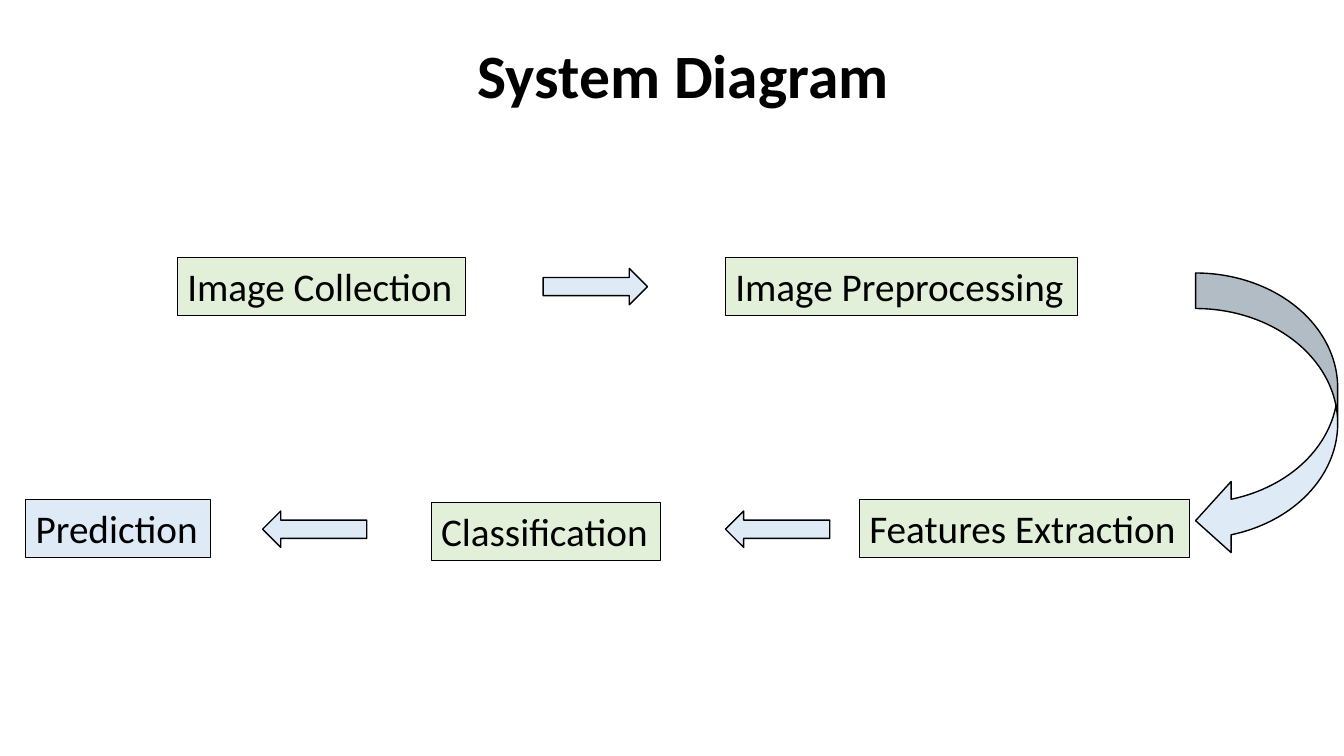
from pptx import Presentation
from pptx.dml.color import RGBColor
from pptx.enum.shapes import MSO_SHAPE
from pptx.enum.text import MSO_ANCHOR, MSO_AUTO_SIZE, PP_ALIGN
from pptx.util import Pt

RECTANGLE = MSO_SHAPE.RECTANGLE
RIGHT_ARROW = MSO_SHAPE.RIGHT_ARROW
CURVED_ARROW = MSO_SHAPE.CURVED_LEFT_ARROW
TOP, BOTTOM = MSO_ANCHOR.TOP, MSO_ANCHOR.BOTTOM
LEFT = PP_ALIGN.LEFT
FIT_SHAPE = MSO_AUTO_SIZE.SHAPE_TO_FIT_TEXT

BLACK, GREEN, BLUE = "000000", "E2F0D9", "DEEBF7"
FONT = "Calibri"
STEP_HEIGHT = 41.2
ARROW_WIDTH, ARROW_HEIGHT = 74.5, 26

TITLE = ("System Diagram", 334, 21, 319.7, 62.5)
STEPS = [
    ("Image Collection", 126.7, 184, 205.6, GREEN),
    ("Image Preprocessing", 518.2, 184, 251.6, GREEN),
    ("Features Extraction", 613.9, 357, 235.6, GREEN),
    ("Classification", 308, 359, 164, GREEN),
    ("Prediction", 18.4, 357, 132, BLUE),
]
ARROWS = [(388, 191.7, 0), (518.2, 365, 180), (187.5, 365, 180)]
TURN = (854, 195, 101.5, 202.3)


def color(value):
    return RGBColor.from_string(value)


def write(box, text, size, anchor, bold=False):
    frame = box.text_frame
    frame.vertical_anchor = anchor
    para = frame.paragraphs[0]
    para.text = text
    para.alignment = LEFT
    para.font.name = FONT
    para.font.size = Pt(size)
    para.font.bold = bold
    para.font.color.rgb = color(BLACK)
    return frame, para


def add_outlined(page, kind, bounds, fill, line_width):
    shape = page.shapes.add_shape(kind, *map(Pt, bounds))
    shape.shadow.inherit = False
    shape.fill.solid()
    shape.fill.fore_color.rgb = color(fill)
    shape.line.color.rgb = color(BLACK)
    shape.line.width = Pt(line_width)
    return shape


def main():
    """Build the system diagram slide."""
    deck = Presentation()
    deck.slide_width, deck.slide_height = Pt(960), Pt(540)
    page = deck.slides.add_slide(deck.slide_layouts[6])

    text, *bounds = TITLE
    title = page.shapes.add_textbox(*map(Pt, bounds))
    frame, para = write(title, text, 44, BOTTOM, bold=True)
    frame.word_wrap = True
    para.line_spacing = 0.9

    for text, left, top, width, fill in STEPS:
        step = add_outlined(page, RECTANGLE, (left, top, width, STEP_HEIGHT), fill, 0.75)
        frame, para = write(step, text, 28, TOP)
        frame.word_wrap = False
        frame.auto_size = FIT_SHAPE

    for left, top, rotation in ARROWS:
        bounds = (left, top, ARROW_WIDTH, ARROW_HEIGHT)
        arrow = add_outlined(page, RIGHT_ARROW, bounds, BLUE, 1)
        arrow.rotation = rotation

    add_outlined(page, CURVED_ARROW, TURN, BLUE, 1)
    deck.save("out.pptx")


if __name__ == "__main__":
    main()
